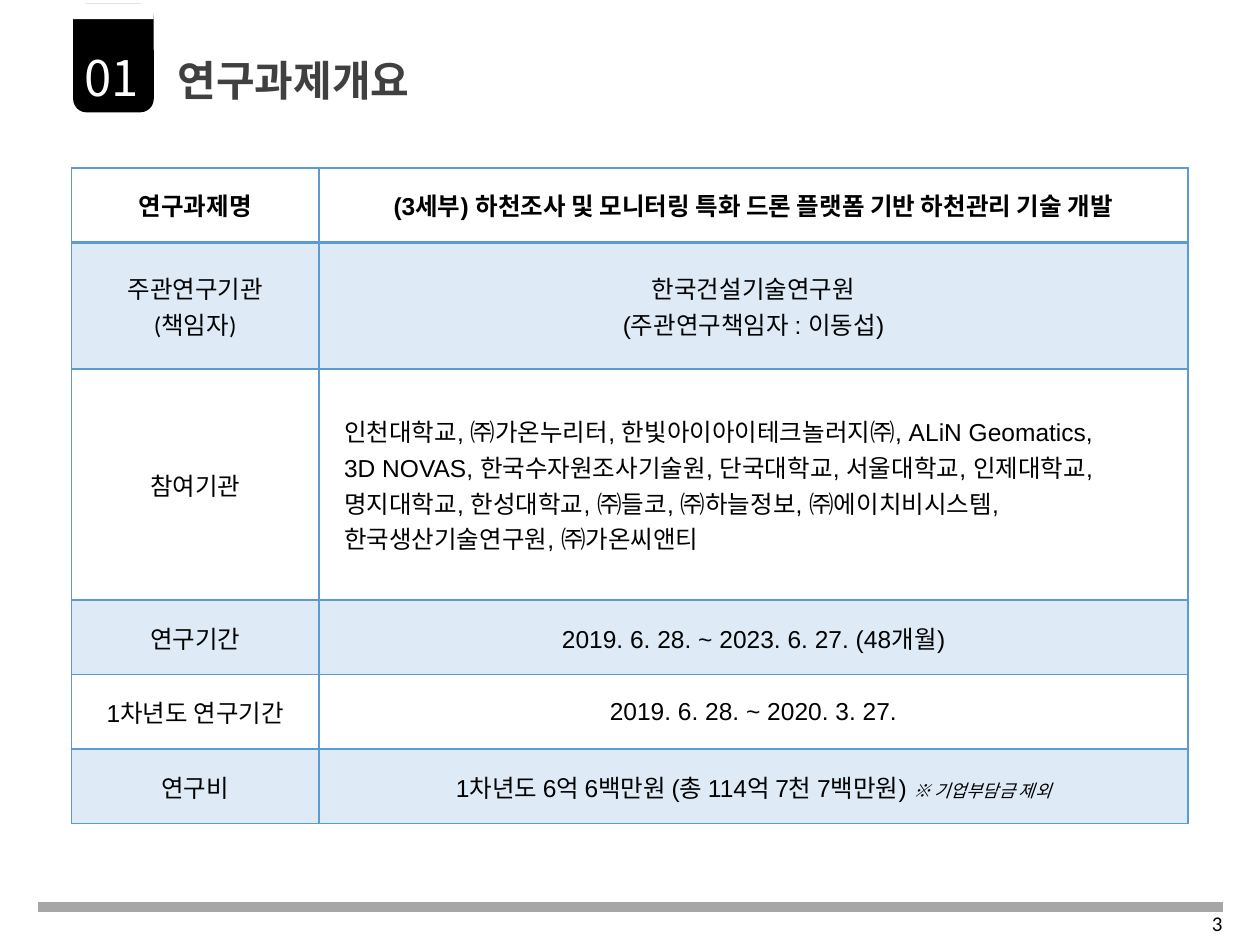
from dataclasses import dataclass

from lxml.etree import SubElement
from pptx import Presentation
from pptx.dml.color import RGBColor
from pptx.enum.shapes import MSO_CONNECTOR, MSO_SHAPE
from pptx.enum.text import MSO_ANCHOR, MSO_AUTO_SIZE, PP_ALIGN
from pptx.oxml.ns import qn
from pptx.util import Pt


@dataclass(frozen=True)
class Theme:
    black: str = "000000"
    white: str = "FFFFFF"
    heading: str = "404040"
    rule: str = "A6A6A6"
    border: str = "5B9BD5"
    band: str = "DEEBF7"
    latin: str = "Arial"
    label: str = "Calibri"
    symbol: str = "Noto Sans CJK KR"
    number_size: int = 28
    title_size: int = 24
    body_size: int = 14
    page_size: int = 12
    note_size: int = 10


@dataclass
class Span:
    text: str
    font: str
    size: int
    color: str = Theme.black
    bold: bool = False
    italic: bool = False


class SlideBuilder:
    """Draw styled elements on the current page."""

    def __init__(self, theme, page):
        self.theme = theme
        self.page = page

    def rule(self, left, right, top, width):
        line = self.page.shapes.add_connector(
            MSO_CONNECTOR.STRAIGHT, Pt(left), Pt(top), Pt(right), Pt(top)
        )
        line.line.color.rgb = RGBColor.from_string(self.theme.rule)
        line.line.width = Pt(width)
        SubElement(line._element.spPr, qn("a:effectLst"))

    def block(self, kind, left, top, width, height, color):
        shape = self.page.shapes.add_shape(kind, Pt(left), Pt(top), Pt(width), Pt(height))
        shape.shadow.inherit = False
        shape.fill.solid()
        shape.fill.fore_color.rgb = RGBColor.from_string(color)
        shape.line.fill.background()

    def add_spans(self, paragraph, spans):
        for span in spans:
            run = paragraph.add_run()
            run.text = span.text
            run.font.name = span.font
            run.font.size = Pt(span.size)
            run.font.bold = span.bold
            run.font.italic = span.italic
            run.font.color.rgb = RGBColor.from_string(span.color)

    def label(self, left, top, width, height, span):
        box = self.page.shapes.add_textbox(Pt(left), Pt(top), Pt(width), Pt(height))
        box.text_frame.word_wrap = False
        box.text_frame.auto_size = MSO_AUTO_SIZE.SHAPE_TO_FIT_TEXT
        self.add_spans(box.text_frame.paragraphs[0], [span])

    def border(self, cell, widths):
        properties = cell._tc.get_or_add_tcPr()
        for position, (side, width) in enumerate(widths.items()):
            line = properties.makeelement(qn(f"a:ln{side}"), {"w": str(Pt(width))})
            fill = SubElement(line, qn("a:solidFill"))
            SubElement(fill, qn("a:srgbClr"), val=self.theme.border)
            properties.insert(position, line)

    def cell(self, cell, paragraphs, banded, widths, indent):
        cell.vertical_anchor = MSO_ANCHOR.MIDDLE
        if banded:
            cell.fill.solid()
            cell.fill.fore_color.rgb = RGBColor.from_string(self.theme.band)
        else:
            cell.fill.background()
        self.border(cell, widths)
        for index, spans in enumerate(paragraphs):
            frame = cell.text_frame
            paragraph = frame.add_paragraph() if index else frame.paragraphs[0]
            paragraph.alignment = PP_ALIGN.LEFT if indent else PP_ALIGN.CENTER
            if indent:
                paragraph._p.get_or_add_pPr().set("marL", str(Pt(indent)))
            self.add_spans(paragraph, spans)

    def table(self, left, top, columns, heights, rows, indented):
        table = self.page.shapes.add_table(
            len(rows), len(columns), Pt(left), Pt(top), Pt(sum(columns)), Pt(sum(heights))
        ).table
        for column, width in zip(table.columns, columns):
            column.width = Pt(width)
        for index, (height, contents) in enumerate(zip(heights, rows)):
            table.rows[index].height = Pt(height)
            widths = {
                "L": 1,
                "R": 1,
                "T": 2 if index == 1 else 1,
                "B": 2 if index == 0 else 1,
            }
            for column, paragraphs in enumerate(contents):
                indent = 7.2 if (index, column) == indented else 0
                self.cell(table.cell(index, column), paragraphs, index % 2 == 1, widths, indent)


def main():
    theme = Theme()
    deck = Presentation()
    deck.slide_width, deck.slide_height = Pt(720), Pt(540)
    builder = SlideBuilder(theme, deck.slides.add_slide(deck.slide_layouts[6]))

    def lines(font, *texts, bold=False):
        return [[Span(text, font, theme.body_size, bold=bold)] for text in texts]

    builder.rule(21.6, 699.1, 518.4, 6)
    builder.block(MSO_SHAPE.ROUNDED_RECTANGLE, 41.8, 2.2, 46.1, 62, theme.black)
    builder.block(MSO_SHAPE.RECTANGLE, 41.8, 2.2, 46.1, 8.8, theme.white)
    builder.label(685.4, 517, 28.8, 21.6, Span("3", theme.label, theme.page_size))
    title = Span("연구과제개요", theme.latin, theme.title_size, theme.heading, bold=True)
    builder.label(94.3, 27.4, 159.8, 36, title)
    number = Span("01", theme.symbol, theme.number_size, theme.white)
    builder.label(41, 23.8, 49.7, 41, number)

    budget = [
        Span("1차년도 6억 6백만원 (총 114억 7천 7백만원) ", theme.latin, theme.body_size),
        Span("※ ", theme.symbol, theme.note_size, italic=True),
        Span("기업부담금 제외", theme.latin, theme.note_size, italic=True),
    ]
    project = "(3세부) 하천조사 및 모니터링 특화 드론 플랫폼 기반 하천관리 기술 개발"
    partners = lines(
        theme.latin,
        "인천대학교, ㈜가온누리터, 한빛아이아이테크놀러지㈜, ALiN Geomatics,",
        "3D NOVAS, 한국수자원조사기술원, 단국대학교, 서울대학교, 인제대학교,",
        "명지대학교, 한성대학교, ㈜들코, ㈜하늘정보, ㈜에이치비시스템,",
        "한국생산기술연구원, ㈜가온씨앤티",
    )
    rows = [
        (lines(theme.label, "연구과제명", bold=True), lines(theme.latin, project, bold=True)),
        (
            lines(theme.label, "주관연구기관", "(책임자)"),
            lines(theme.latin, "한국건설기술연구원", "(주관연구책임자 : 이동섭)"),
        ),
        (lines(theme.label, "참여기관"), partners),
        (
            lines(theme.label, "연구기간"),
            lines(theme.latin, "2019. 6. 28. ~ 2023. 6. 27. (48개월)"),
        ),
        (
            lines(theme.latin, "1차년도 연구기간"),
            lines(theme.latin, "2019. 6. 28. ~ 2020. 3. 27."),
        ),
        (lines(theme.label, "연구비"), [budget]),
    ]
    heights = [42.6, 72.4, 132, 42.6, 42.6, 42.6]
    builder.table(41, 96, [141.2, 496.8], heights, rows, indented=(2, 1))
    deck.save("out.pptx")


if __name__ == "__main__":
    main()
